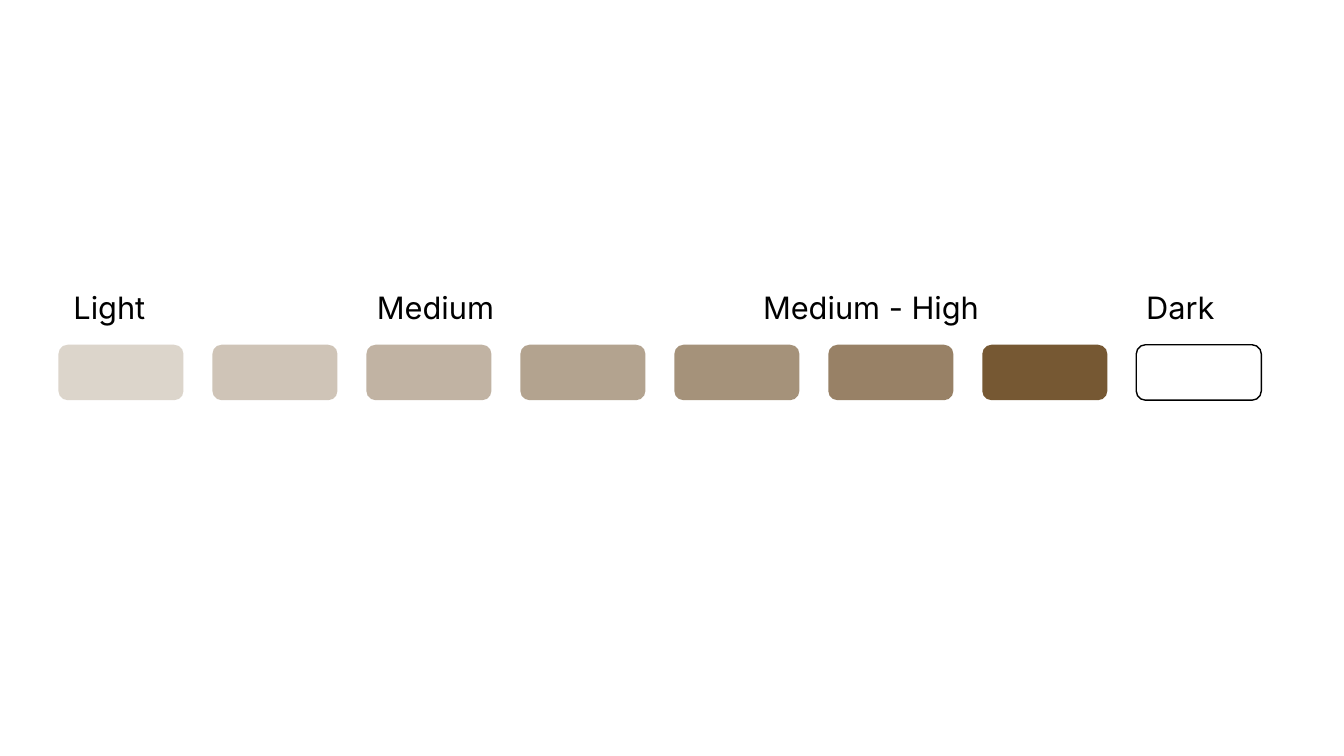
from dataclasses import dataclass

import pptx
import pptx.dml.color
import pptx.enum.shapes
import pptx.enum.text
import pptx.oxml
import pptx.oxml.ns
import pptx.util
from pptx.util import Inches


@dataclass(frozen=True)
class Theme:
    brown: str = "765833"
    ink: str = "000000"
    paper: str = "FFFFFF"
    font: str = "Inter"
    label_size: int = 22
    outline_width: int = 1


@dataclass(frozen=True)
class Box:
    left: float
    top: float
    width: float
    height: float


THEME = Theme()
OPACITIES = [25, 35, 45, 55, 65, 75, 100, None]
SWATCH_WIDTH = 1.24
TONES = [
    ("Light", 0.05, 1.14),
    ("Medium", 3.06, 1.43),
    ("Medium - High", 6.89, 2.73),
    ("Dark", 10.69, 1.14),
]


def rgb(colour):
    return pptx.dml.color.RGBColor.from_string(colour)


def fill_tint(swatch, opacity):
    swatch.fill.solid()
    swatch.fill.fore_color.rgb = rgb(THEME.brown)
    if opacity < 100:
        brown = swatch.fill._xPr.find(".//" + pptx.oxml.ns.qn("a:srgbClr"))
        alpha = pptx.oxml.parse_xml(
            f'<a:alpha {pptx.oxml.ns.nsdecls("a")} val="{opacity * 1000}"/>'
        )
        brown.append(alpha)


def add_swatches(slide, box):
    pitch = (box.width - SWATCH_WIDTH) / (len(OPACITIES) - 1)
    for column, opacity in enumerate(OPACITIES):
        swatch = slide.shapes.add_shape(
            pptx.enum.shapes.MSO_SHAPE.ROUNDED_RECTANGLE,
            Inches(box.left + column * pitch),
            Inches(box.top),
            Inches(SWATCH_WIDTH),
            Inches(box.height),
        )
        swatch.shadow.inherit = False
        if opacity is None:
            swatch.fill.background()
            swatch.line.color.rgb = rgb(THEME.ink)
            swatch.line.width = pptx.util.Pt(THEME.outline_width)
        else:
            fill_tint(swatch, opacity)
            swatch.line.fill.background()


def add_tone_labels(slide, box):
    for tone, offset, width in TONES:
        label = slide.shapes.add_textbox(
            Inches(box.left + offset),
            Inches(box.top),
            Inches(width),
            Inches(box.height),
        )
        frame = label.text_frame
        frame.word_wrap = True
        frame.auto_size = pptx.enum.text.MSO_AUTO_SIZE.SHAPE_TO_FIT_TEXT
        run = frame.paragraphs[0].add_run()
        run.text = tone
        run.font.name = THEME.font
        run.font.size = pptx.util.Pt(THEME.label_size)
        run.font.color.rgb = rgb(THEME.ink)


def build_tone_scale(slide, box):
    slide.background.fill.solid()
    slide.background.fill.fore_color.rgb = rgb(THEME.paper)
    add_swatches(slide, Box(box.left, box.top + 0.6, box.width, 0.55))
    add_tone_labels(slide, Box(box.left, box.top, box.width, 0.47))


def main():
    deck = pptx.Presentation()
    deck.slide_width = Inches(13.33)
    deck.slide_height = Inches(7.5)
    slide = deck.slides.add_slide(deck.slide_layouts[6])
    build_tone_scale(slide, Box(0.58, 2.82, 11.93, 1.15))
    deck.save("out.pptx")


if __name__ == "__main__":
    main()
